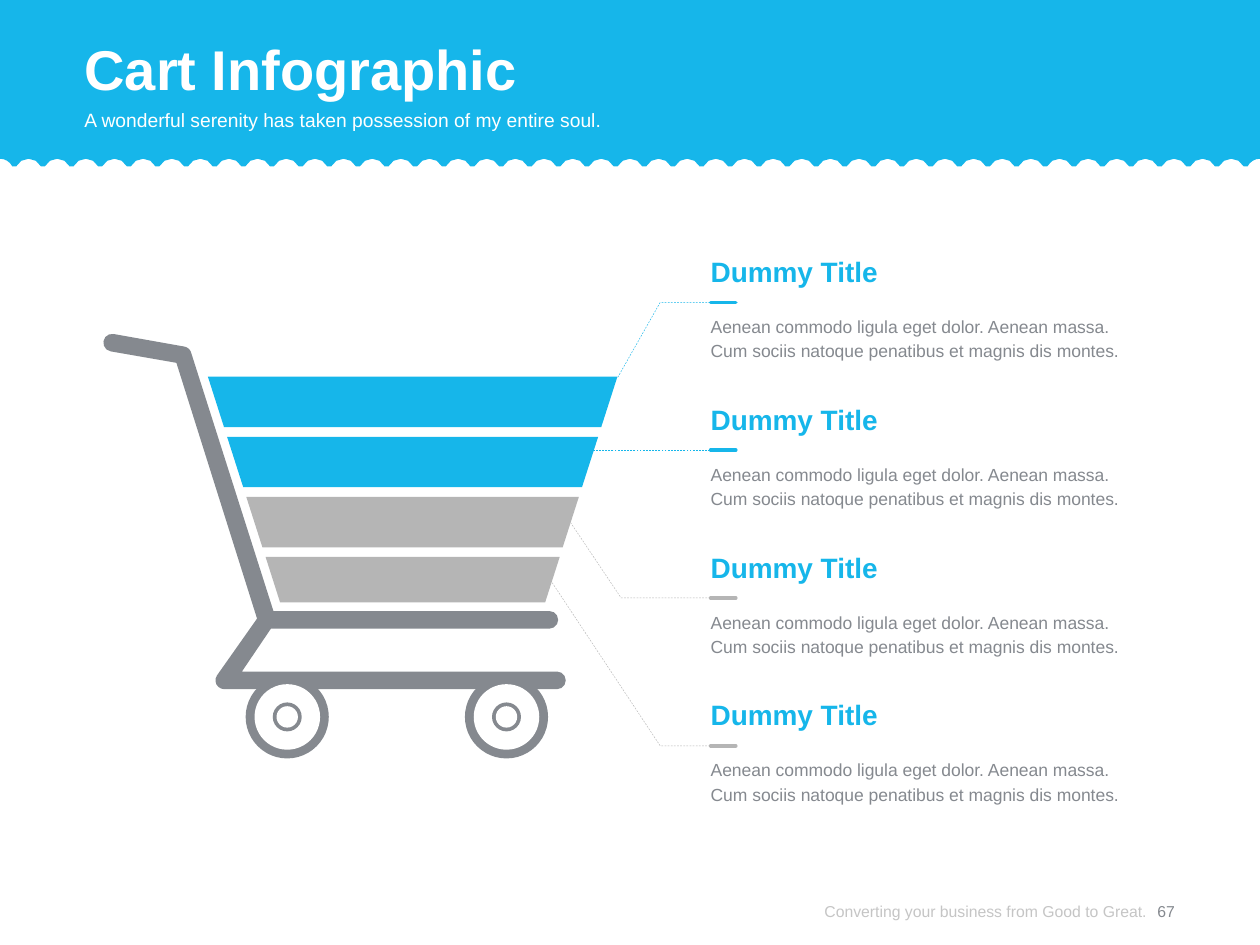
from dataclasses import dataclass
from math import cos, radians, sin

from lxml import etree
from pptx import Presentation
from pptx.dml.color import RGBColor
from pptx.enum import dml, shapes, text
from pptx.oxml import ns
from pptx.util import Inches, Pt

BLUE = RGBColor(0x16, 0xB6, 0xEA)
SILVER = RGBColor(0xB5, 0xB5, 0xB5)
STEEL = RGBColor(0x85, 0x89, 0x8F)
GREY = RGBColor(0x8C, 0x8C, 0x8C)
WHITE = RGBColor(0xFF, 0xFF, 0xFF)

Point = tuple[float, float]

TEXT_LEFT, TEXT_WIDTH = 5.64, 3.69
LEADER_START = 5.81
FIRST_RULE, RULE_PITCH = 2.4, 1.173
BASKET_TOP, BAND_PITCH = 2.99, 0.477
BASKET_LEFT, BASKET_RIGHT = 1.65, 4.9
SLOPE = 0.32  # sideways inches per inch down the basket
BODY = ["Aenean commodo ligula eget dolor. Aenean massa.",
        "Cum sociis natoque penatibus et magnis dis montes."]


@dataclass
class Level:
    """One basket band with its callout."""
    color: RGBColor
    band_height: float
    leader: list[Point]  # points after the start at the rule


def arc(x: float, y: float, radius: float, start: int, end: int, steps=6) -> list[Point]:
    """Points on a circle; angles in degrees, clockwise from the right."""
    angles = [radians(start + (end - start) * i / steps) for i in range(steps + 1)]
    return [(x + radius * cos(a), y + radius * sin(a)) for a in angles]


def fill_shape(shape, color: RGBColor) -> None:
    shape.shadow.inherit = False
    shape.fill.solid()
    shape.fill.fore_color.rgb = color
    shape.line.fill.background()


def add_outline(page, outline: list[Point], closed=True):
    points = [(Inches(x), Inches(y)) for x, y in outline]
    builder = page.shapes.build_freeform(*points[0], scale=1.0)
    builder.add_line_segments(points[1:], close=closed)
    return builder.convert_to_shape()


def style_line(line, color: RGBColor, width: float, dashed=False) -> None:
    line.color.rgb = color
    line.width = Pt(width)
    if dashed:
        line.dash_style = dml.MSO_LINE.DASH


def add_line(page, start: Point, end: Point, color: RGBColor, width: float, dashed=False):
    ends = [Inches(value) for value in (*start, *end)]
    line = page.shapes.add_connector(shapes.MSO_CONNECTOR.STRAIGHT, *ends)
    style_line(line.line, color, width, dashed)
    etree.SubElement(line._element.spPr, ns.qn("a:effectLst"))
    return line


def write(box, lines: list[str], *, size: float, color: RGBColor, bold=False,
          spacing=None, align=text.PP_ALIGN.LEFT, anchor=text.MSO_ANCHOR.TOP,
          opacity=None) -> None:
    frame = box.text_frame
    frame.word_wrap = True
    frame.auto_size = text.MSO_AUTO_SIZE.NONE
    frame.vertical_anchor = anchor
    frame.margin_left = frame.margin_right = frame.margin_top = frame.margin_bottom = 0
    for index, line in enumerate(lines):
        para = frame.paragraphs[0] if index == 0 else frame.add_paragraph()
        para.alignment = align
        if spacing:
            para.line_spacing = Pt(spacing)
        span = para.add_run()
        span.text = line
        font = span.font
        font.name, font.size, font.bold = "Arial", Pt(size), bold
        font.color.rgb = color
        if opacity is not None:
            rgb = span._r.find(".//" + ns.qn("a:srgbClr"))
            etree.SubElement(rgb, ns.qn("a:alpha"), val=str(opacity * 1000))


def add_text(page, left, top, width, height, lines: list[str], **style) -> None:
    box = page.shapes.add_textbox(Inches(left), Inches(top), Inches(width), Inches(height))
    write(box, lines, **style)


def add_banner(page) -> None:
    """Header band with a scalloped lower edge, behind everything else."""
    count = 44
    pitch = 10 / count
    edge: list[Point] = [(0, 0)]
    for i in range(count + 1):
        start = 270 if i == 0 else 207
        end = 270 if i == count else 333
        edge += arc(i * pitch, 1.37, 0.11, start, end, steps=4)
    banner = add_outline(page, edge + [(10, 0)])
    fill_shape(banner, BLUE)
    page.shapes._spTree.insert(2, banner._element)


def add_disc(page, center: Point, radius: float, color: RGBColor) -> None:
    x, y = center
    disc = page.shapes.add_shape(shapes.MSO_SHAPE.OVAL, Inches(x - radius),
                                 Inches(y - radius), Inches(2 * radius), Inches(2 * radius))
    fill_shape(disc, color)


def add_cart(page) -> None:
    frame = add_outline(page, [
        (1.92, 5.33), (2.15, 4.99), *arc(4.36, 4.92, 0.07, 90, -90),
        (2.17, 4.85), *arc(1.45, 2.82, 0.07, -17, -80),
        *arc(0.89, 2.72, 0.07, -80, -260), (1.4, 2.88), (2.04, 4.91),
        *arc(1.78, 5.4, 0.07, 215, 90), *arc(4.42, 5.4, 0.07, 90, -90)])
    fill_shape(frame, STEEL)
    rings = [(0.33, STEEL), (0.26, WHITE), (0.115, STEEL), (0.085, WHITE)]
    for center in [(2.28, 5.69), (4.02, 5.69)]:
        for radius, color in rings:
            add_disc(page, center, radius, color)


def add_leader(page, level: Level, rule: float) -> None:
    start = (LEADER_START, rule)
    if len(level.leader) == 1:
        add_line(page, start, level.leader[0], level.color, 0.25, dashed=True)
    else:
        leader = add_outline(page, [start, *level.leader], closed=False)
        leader.shadow.inherit = False
        leader.fill.background()
        style_line(leader.line, level.color, 0.25, dashed=True)


def add_band(page, level: Level, index: int) -> None:
    top = BASKET_TOP + index * BAND_PITCH
    bottom = top + level.band_height
    inset, low_inset = ((y - BASKET_TOP) * SLOPE for y in (top, bottom))
    band = add_outline(page, [
        (BASKET_RIGHT - inset, top), (BASKET_RIGHT - low_inset, bottom),
        (BASKET_LEFT + low_inset, bottom), (BASKET_LEFT + inset, top)])
    fill_shape(band, level.color)


def add_callout(page, level: Level, rule: float) -> None:
    add_text(page, TEXT_LEFT, rule + 0.08, TEXT_WIDTH, 0.39, BODY,
             size=10, color=STEEL, spacing=14)
    tick = add_line(page, (TEXT_LEFT, rule), (TEXT_LEFT + 0.2, rule), level.color, 2)
    tick.line._ln.set("cap", "rnd")
    add_text(page, TEXT_LEFT, rule - 0.38, TEXT_WIDTH, 0.27, ["Dummy Title"],
             size=16, color=BLUE, bold=True)


def main() -> None:
    deck = Presentation()
    deck.slide_width, deck.slide_height = Inches(10), Inches(7.5)
    page = deck.slides.add_slide(deck.slide_layouts[5])

    add_banner(page)
    title = page.shapes.title
    title.left, title.top = Inches(0.67), Inches(0.19)
    title.width, title.height = Inches(8.66), Inches(0.65)
    middle = text.MSO_ANCHOR.MIDDLE
    write(title, ["Cart Infographic"], size=32, color=WHITE, bold=True,
          spacing=42, anchor=middle)
    add_text(page, 0.67, 0.86, 8.66, 0.39,
             ["A wonderful serenity has taken possession of my entire soul."],
             size=11, color=WHITE)
    add_text(page, 6.04, 6.96, 3.06, 0.54, ["Converting your business from Good to Great."],
             size=9, color=GREY, opacity=50, align=text.PP_ALIGN.RIGHT, anchor=middle)
    add_text(page, 9.02, 6.96, 0.47, 0.54, ["67"], size=9, color=STEEL,
             align=text.PP_ALIGN.CENTER, anchor=middle)

    rules = [FIRST_RULE + i * RULE_PITCH for i in range(4)]
    levels = [
        Level(BLUE, 0.4, [(5.24, rules[0]), (4.9, 3)]),
        Level(BLUE, 0.4, [(4.71, rules[1])]),
        Level(SILVER, 0.4, [(4.93, rules[2]), (4.53, 4.15)]),
        Level(SILVER, 0.36, [(5.24, rules[3]), (4.38, 4.62)]),
    ]
    for level, rule in zip(levels, rules):
        add_leader(page, level, rule)
    for index, level in enumerate(levels):
        add_band(page, level, index)
    add_cart(page)
    for level, rule in zip(levels, rules):
        add_callout(page, level, rule)

    deck.save("out.pptx")


if __name__ == "__main__":
    main()
